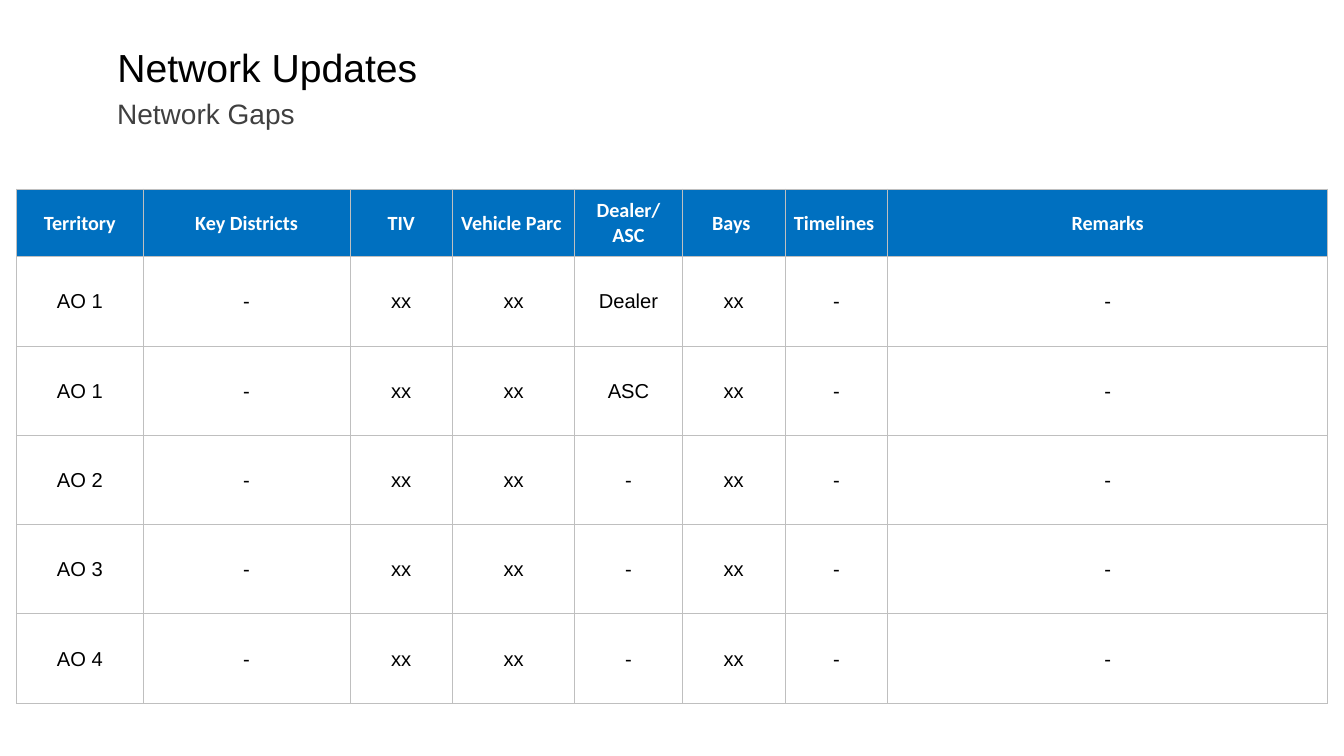
from lxml.etree import SubElement
from pptx import Presentation
from pptx.dml.color import RGBColor
from pptx.enum.text import MSO_ANCHOR, MSO_AUTO_SIZE, PP_ALIGN
from pptx.oxml.ns import qn
from pptx.util import Inches, Pt

HEADINGS = ["Territory", "Key Districts", "TIV", "Vehicle Parc ", "Dealer/\nASC",
            "Bays ", "Timelines ", "Remarks"]
OUTLETS = [("AO 1", "Dealer"), ("AO 1", "ASC"), ("AO 2", "-"), ("AO 3", "-"), ("AO 4", "-")]
COLUMN_SHARES = [1.05, 1.71, 0.85, 1.01, 0.89, 0.85, 0.85, 3.64]
ROW_SHARES = [0.56] + [0.74] * len(OUTLETS)


def color(code):
    return RGBColor.from_string(code)


class NetworkSlide:
    header_blue, border_gray = "0070C0", "BFBFBF"
    black, dark_gray, white = "000000", "404040", "FFFFFF"
    body_font, header_font = "Arial", "Calibri"

    def __init__(self, deck):
        self.column = deck.slide_width / 100
        self.row = deck.slide_height / 100
        self.slide = deck.slides.add_slide(deck.slide_layouts[5])

    def box(self, left, top, width, height):
        return (round(left * self.column), round(top * self.row),
                round(width * self.column), round(height * self.row))

    def style(self, paragraph, size, code, font=None, bold=False, align=PP_ALIGN.LEFT):
        paragraph.alignment = align
        paragraph.font.name = font or self.body_font
        paragraph.font.size = Pt(size)
        paragraph.font.bold = bold
        paragraph.font.color.rgb = color(code)

    def label(self, holder, text, size, code):
        frame = holder.text_frame
        frame.text = text
        frame.word_wrap = True
        frame.auto_size = MSO_AUTO_SIZE.NONE
        frame.vertical_anchor = MSO_ANCHOR.TOP
        self.style(frame.paragraphs[0], size, code)

    def title(self, text, *place):
        heading = self.slide.shapes.title
        heading.left, heading.top, heading.width, heading.height = self.box(*place)
        self.label(heading, text, 23.3, self.black)

    def subtitle(self, text, *place):
        self.label(self.slide.shapes.add_textbox(*self.box(*place)), text, 16.7, self.dark_gray)

    def border(self, cell):
        properties = cell._tc.get_or_add_tcPr()
        for side in ("a:lnL", "a:lnR", "a:lnT", "a:lnB"):
            line = SubElement(properties, qn(side), w=str(Pt(0.5)))
            fill = SubElement(line, qn("a:solidFill"))
            SubElement(fill, qn("a:srgbClr"), val=self.border_gray)

    def cell(self, cell, text, is_header):
        cell.text = text
        cell.vertical_anchor = MSO_ANCHOR.MIDDLE
        cell.margin_left = cell.margin_right = cell.margin_top = Inches(0.01)
        cell.margin_bottom = 0
        self.border(cell)
        if is_header:
            cell.fill.solid()
            cell.fill.fore_color.rgb = color(self.header_blue)
        else:
            cell.fill.background()
        font = self.header_font if is_header else self.body_font
        code = self.white if is_header else self.black
        for paragraph in cell.text_frame.paragraphs:
            self.style(paragraph, 12, code, font, is_header, PP_ALIGN.CENTER)

    def table(self, records, *place):
        left, top, width, height = self.box(*place)
        grid = self.slide.shapes.add_table(len(records), len(records[0]),
                                           left, top, width, height).table
        grid.horz_banding = False
        for column, share in zip(grid.columns, COLUMN_SHARES):
            column.width = round(width * share / sum(COLUMN_SHARES))
        for row, share in zip(grid.rows, ROW_SHARES):
            row.height = round(height * share / sum(ROW_SHARES))
        for row_index, record in enumerate(records):
            for column_index, text in enumerate(record):
                self.cell(grid.cell(row_index, column_index), text, row_index == 0)


def main():
    deck = Presentation()
    deck.slide_width, deck.slide_height = Inches(11.11), Inches(6.25)
    gaps = NetworkSlide(deck)
    records = [HEADINGS] + [[territory, "-", "xx", "xx", outlet, "xx", "-", "-"]
                            for territory, outlet in OUTLETS]
    gaps.table(records, 1.22, 25, 97.57, 68)
    gaps.title("Network Updates", 7.83, 4.96, 76.24, 7.84)
    gaps.subtitle("Network Gaps", 7.83, 12, 71.38, 6.08)
    deck.save("out.pptx")


if __name__ == "__main__":
    main()
